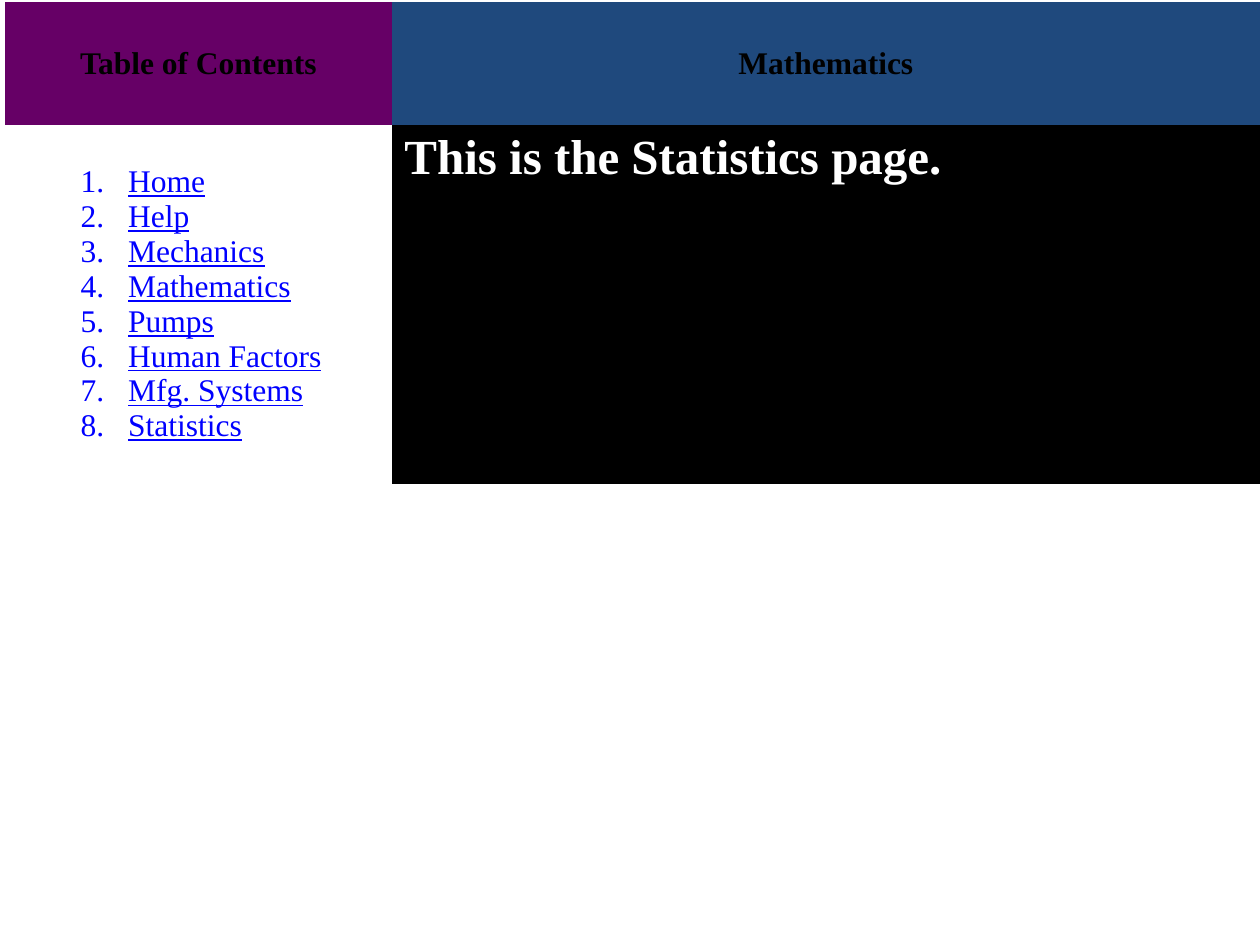
from dataclasses import dataclass

from lxml.etree import SubElement
from pptx import Presentation
from pptx.dml.color import RGBColor
from pptx.enum.text import MSO_ANCHOR as Anchor, PP_ALIGN as Align
from pptx.oxml.ns import qn
from pptx.util import Cm, Pt


@dataclass(frozen=True)
class Theme:
    """Colours, font and type sizes of the page."""
    font: str = "Times New Roman"
    body: int = 18
    title: int = 28
    black: str = "000000"
    white: str = "FFFFFF"
    link: str = "0000FF"
    purple: str = "660066"
    navy: str = "1F497D"


THEME = Theme()
NO_STYLE = "{2D5ABB26-0587-4C30-8999-92F81FD0307C}"
CONTENTS = ["Home", "Help", "Mechanics", "Mathematics", "Pumps",
            "Human Factors", "Mfg. Systems", "Statistics"]


def style(para, size, color, bold=False, underline=False):
    """Set the font of a whole paragraph."""
    font = para.font
    font.name, font.size = THEME.font, Pt(size)
    font.bold, font.underline = bold, underline
    font.color.rgb = RGBColor.from_string(color)


def number(para, margin, hanging):
    """Turn a paragraph into a numbered item with a hanging indent."""
    para.level = 1
    props = para._p.get_or_add_pPr()
    props.set("marL", str(margin))
    props.set("indent", str(-hanging))
    SubElement(props, qn("a:buFont"), typeface=THEME.font)
    SubElement(props, qn("a:buAutoNum"), type="arabicPeriod")


def paint(cell, color):
    """Fill a cell with one colour."""
    cell.fill.solid()
    cell.fill.fore_color.rgb = RGBColor.from_string(color)


def heading_cell(cell, text, color):
    """Write a centred heading on a coloured cell."""
    paint(cell, color)
    cell.vertical_anchor = Anchor.MIDDLE
    cell.text = text
    para = cell.text_frame.paragraphs[0]
    para.alignment = Align.CENTER
    style(para, THEME.body, THEME.black, bold=True)


def contents_cell(cell, entries):
    """Write the numbered list of contents."""
    cell.fill.background()
    cell.vertical_anchor = Anchor.MIDDLE
    cell.text = "\n".join(entries)
    for para in cell.text_frame.paragraphs:
        number(para, Cm(2.23), Cm(0.96))
        style(para, THEME.body, THEME.link, underline=True)


def page_cell(cell, text):
    """Write the page title on a black cell."""
    paint(cell, THEME.black)
    cell.text = text
    style(cell.text_frame.paragraphs[0], THEME.title, THEME.white, bold=True)


def frame_table(page, left, top, widths, heights):
    """Add a plain table with the given column widths and row heights."""
    box = page.shapes.add_table(len(heights), len(widths), left, top,
                                sum(widths), sum(heights))
    table = box.table
    table.first_row = table.horz_banding = False
    table._tbl.tblPr.find(qn("a:tableStyleId")).text = NO_STYLE
    for column, width in zip(table.columns, widths):
        column.width = width
    for row, height in zip(table.rows, heights):
        row.height = height
    return table


def main():
    """Build the statistics page and save it."""
    deck = Presentation()
    deck.slide_width, deck.slide_height = Cm(25.4), Cm(19.05)
    page = deck.slides.add_slide(deck.slide_layouts[6])
    table = frame_table(page, Cm(0.1), Cm(0.05),
                        [Cm(7.8), Cm(17.5)], [Cm(2.46), Cm(7.24)])
    heading_cell(table.cell(0, 0), "Table of Contents", THEME.purple)
    heading_cell(table.cell(0, 1), "Mathematics", THEME.navy)
    contents_cell(table.cell(1, 0), CONTENTS)
    page_cell(table.cell(1, 1), "This is the Statistics page.")
    deck.save("out.pptx")


if __name__ == "__main__":
    main()
